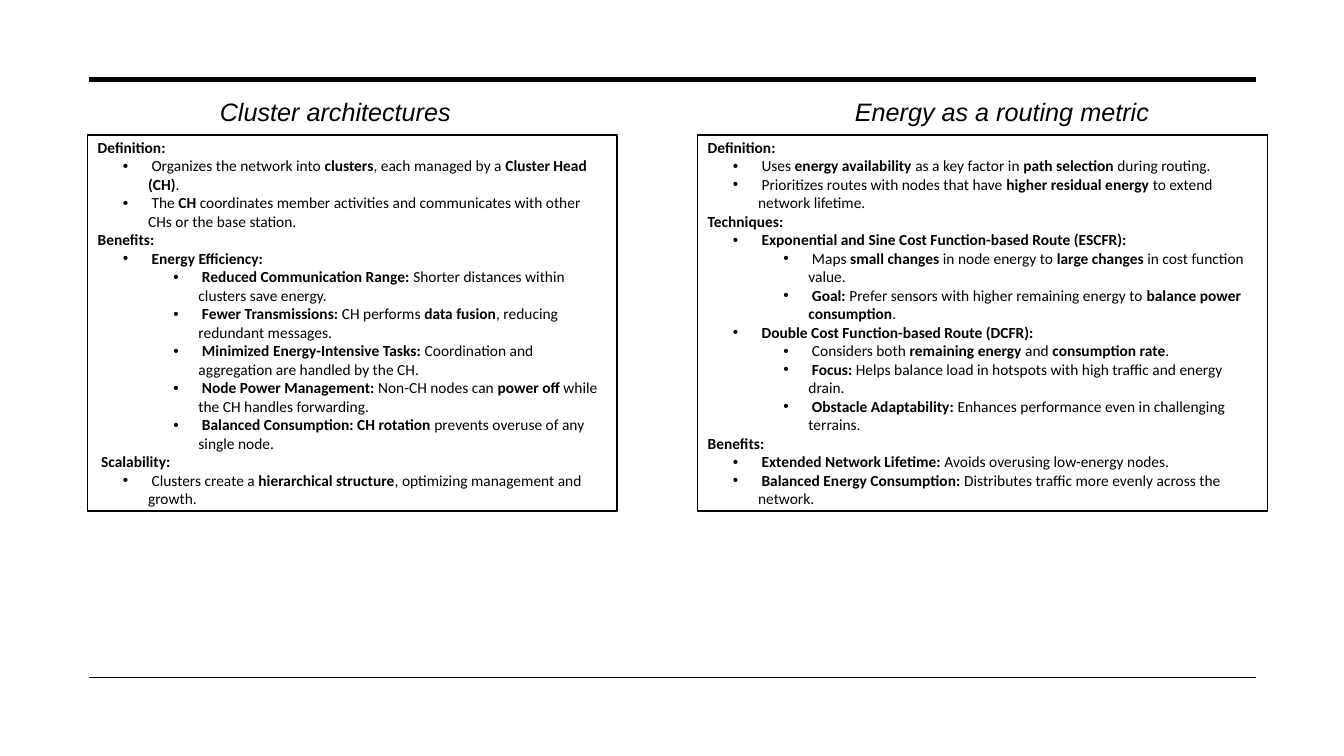
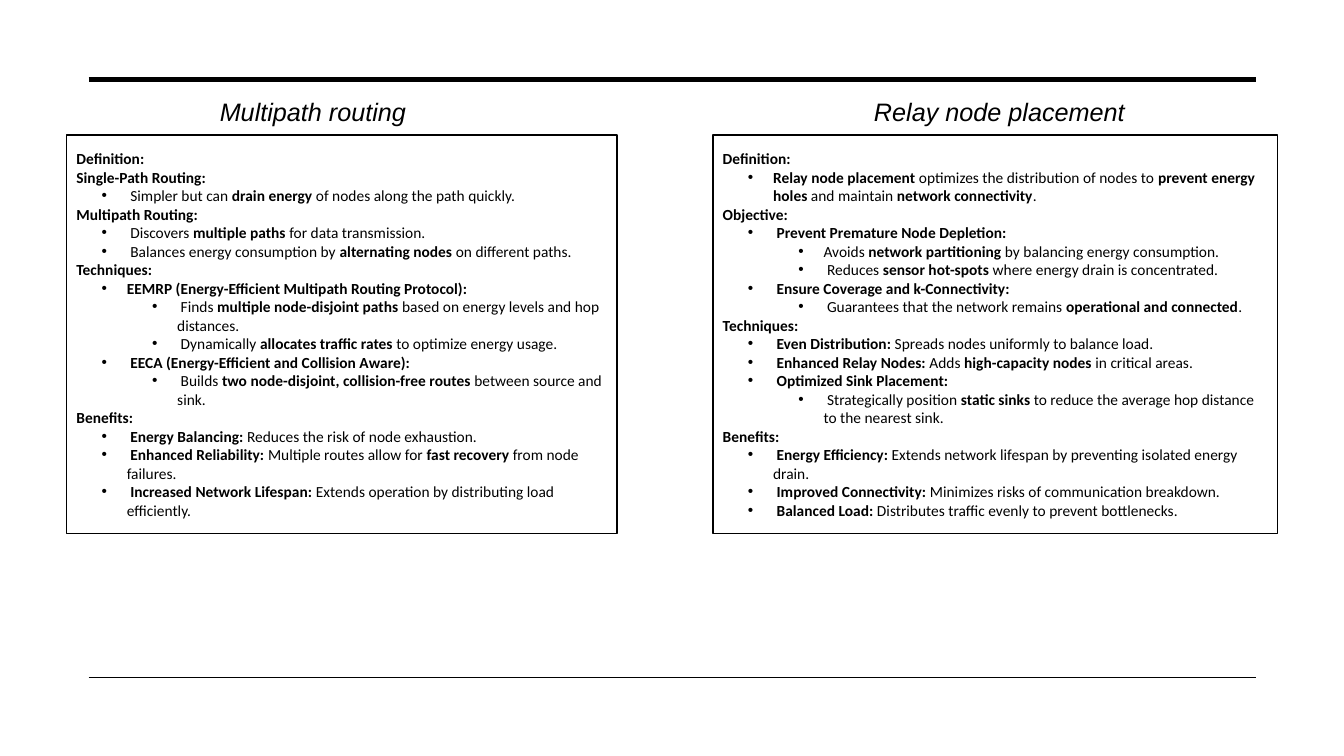
from lxml import etree
from pptx import Presentation
from pptx.dml.color import RGBColor
from pptx.enum import shapes, text
from pptx.oxml import ns
from pptx.util import Inches, Pt

BLACK = RGBColor(0x00, 0x00, 0x00)
WHITE = RGBColor(0xFF, 0xFF, 0xFF)
HEADING_FONT, BODY_FONT = "Arial", "Calibri"
HEADING_TOP, HEADING_H, PANEL_TOP = 0.91, 0.4, 1.34
RULE_LEFT, RULE_RIGHT = 0.88, 12.46
RULES = [(0.79, 3.5), (6.72, 1)]  # height on the slide, line width
INDENT, HANGING = 0.5, 0.25

# Each panel line is (outline level, text); ** switches bold on and off
CLUSTER = [
    (0, "Definition:"),
    (1, " Organizes the network into **clusters**, each managed by a **Cluster Head (CH)**."),
    (1, " The **CH** coordinates member activities and communicates with other CHs or the base station."),
    (0, "Benefits:"),
    (1, " **Energy Efficiency:**"),
    (2, " **Reduced Communication Range:** Shorter distances within clusters save energy."),
    (2, " **Fewer Transmissions:** CH performs **data fusion**, reducing redundant messages."),
    (2, " **Minimized Energy-Intensive Tasks:** Coordination and aggregation are handled by the CH."),
    (2, " **Node Power Management:** Non-CH nodes can **power off** while the CH handles forwarding."),
    (2, " **Balanced Consumption: CH rotation** prevents overuse of any single node."),
    (0, " Scalability:"),
    (1, " Clusters create a **hierarchical structure**, optimizing management and growth."),
]
ENERGY = [
    (0, "Definition:"),
    (1, " Uses **energy availability** as a key factor in **path selection** during routing."),
    (1, " Prioritizes routes with nodes that have **higher residual energy** to extend network lifetime."),
    (0, "Techniques:"),
    (1, " **Exponential and Sine Cost Function-based Route (ESCFR):**"),
    (2, " Maps **small changes** in node energy to **large changes** in cost function value."),
    (2, " **Goal:** Prefer sensors with higher remaining energy to **balance power consumption**."),
    (1, " **Double Cost Function-based Route (DCFR):**"),
    (2, " Considers both **remaining energy** and **consumption rate**."),
    (2, " **Focus:** Helps balance load in hotspots with high traffic and energy drain."),
    (2, " **Obstacle Adaptability:** Enhances performance even in challenging terrains."),
    (0, "Benefits:"),
    (1, " **Extended Network Lifetime:** Avoids overusing low-energy nodes."),
    (1, " **Balanced Energy Consumption:** Distributes traffic more evenly across the network."),
]
MULTIPATH = [
    (0, "Definition:"),
    (0, "Single-Path Routing:"),
    (1, " Simpler but can **drain energy** of nodes along the path quickly."),
    (0, "Multipath Routing:"),
    (1, " Discovers **multiple paths** for data transmission."),
    (1, " Balances energy consumption by **alternating nodes** on different paths."),
    (0, "Techniques:"),
    (1, "**EEMRP (Energy-Efficient Multipath Routing Protocol):**"),
    (2, " Finds **multiple node-disjoint paths** based on energy levels and hop distances."),
    (2, " Dynamically **allocates traffic rates** to optimize energy usage."),
    (1, " **EECA (Energy-Efficient and Collision Aware):**"),
    (2, " Builds **two node-disjoint, collision-free routes** between source and sink."),
    (0, "Benefits:"),
    (1, " **Energy Balancing:** Reduces the risk of node exhaustion."),
    (1, " **Enhanced Reliability:** Multiple routes allow for **fast recovery** from node failures."),
    (1, " **Increased Network Lifespan:** Extends operation by distributing load efficiently."),
]
RELAY = [
    (0, "Definition:"),
    (1, "**Relay node placement** optimizes the distribution of nodes to **prevent energy holes** "
        "and maintain **network connectivity**."),
    (0, "Objective:"),
    (1, " **Prevent Premature Node Depletion:**"),
    (2, "Avoids **network partitioning** by balancing energy consumption."),
    (2, " Reduces **sensor hot-spots** where energy drain is concentrated."),
    (1, " **Ensure Coverage and k-Connectivity:**"),
    (2, " Guarantees that the network remains **operational and connected**."),
    (0, "Techniques:"),
    (1, " **Even Distribution:** Spreads nodes uniformly to balance load."),
    (1, " **Enhanced Relay Nodes:** Adds **high-capacity nodes** in critical areas."),
    (1, " **Optimized Sink Placement:**"),
    (2, " Strategically position **static sinks** to reduce the average hop distance to the nearest sink."),
    (0, "Benefits:"),
    (1, " **Energy Efficiency:** Extends network lifespan by preventing isolated energy drain."),
    (1, " **Improved Connectivity:** Minimizes risks of communication breakdown."),
    (1, " **Balanced Load:** Distributes traffic evenly to prevent bottlenecks."),
]

# Per slide: panel height, then (heading, heading left, heading width, panel left, panel width, lines)
SLIDES = [
    (3.73, [("Cluster architectures", 2.08, 3, 0.87, 5.25, CLUSTER),
            ("Energy as a routing metric", 8.38, 3.34, 6.92, 5.65, ENERGY)]),
    (3.95, [("Multipath routing", 2.08, 3, 0.66, 5.46, MULTIPATH),
            ("Relay node placement", 8.57, 3, 7.07, 5.6, RELAY)]),
]


def add_text(p, content, font=BODY_FONT, size=11, bold=False, italic=False):
    r = p.add_run()
    r.text = content
    f = r.font
    f.name, f.size, f.bold, f.italic = font, Pt(size), bold, italic
    f.color.rgb = BLACK


def set_bullet(p, level):
    pPr = p._p.get_or_add_pPr()
    pPr.set("marL", str(Inches(INDENT * level)))
    pPr.set("indent", str(-Inches(HANGING)))
    etree.SubElement(pPr, ns.qn("a:buFont")).set("typeface", "Arial")
    etree.SubElement(pPr, ns.qn("a:buChar")).set("char", "•")


def add_rules(s):
    """Place the top and bottom rules on the layout that the slides share."""
    for number, (y, width) in enumerate(RULES):
        rule = s.shapes.add_connector(shapes.MSO_CONNECTOR.STRAIGHT, Inches(RULE_LEFT),
                                      Inches(y), Inches(RULE_RIGHT), Inches(y))
        rule.line.color.rgb = BLACK
        rule.line.width = Pt(width)
        etree.SubElement(rule.element.spPr, ns.qn("a:effectLst"))
        rule.element.nvCxnSpPr.cNvPr.id = 101 + number
        s.slide_layout.shapes.element.append(rule.element)


def format_heading(sp, heading, left, width):
    sp.left, sp.top = Inches(left), Inches(HEADING_TOP)
    sp.width, sp.height = Inches(width), Inches(HEADING_H)
    tf = sp.text_frame
    tf.word_wrap = True
    tf.auto_size = text.MSO_AUTO_SIZE.SHAPE_TO_FIT_TEXT
    tf.vertical_anchor = text.MSO_ANCHOR.TOP
    p = tf.paragraphs[0]
    p.alignment = text.PP_ALIGN.LEFT
    add_text(p, heading, font=HEADING_FONT, size=18, italic=True)


def add_panel(s, left, width, height, lines):
    sp = s.shapes.add_shape(shapes.MSO_SHAPE.RECTANGLE, Inches(left), Inches(PANEL_TOP),
                            Inches(width), Inches(height))
    sp.shadow.inherit = False
    sp.fill.solid()
    sp.fill.fore_color.rgb = WHITE
    sp.line.color.rgb = BLACK
    sp.line.width = Pt(1)
    tf = sp.text_frame
    tf.word_wrap = True
    tf.vertical_anchor = text.MSO_ANCHOR.MIDDLE
    for i, (level, line) in enumerate(lines):
        p = tf.add_paragraph() if i else tf.paragraphs[0]
        p.alignment = text.PP_ALIGN.LEFT
        p.level = level
        if level:
            set_bullet(p, level)
        for j, part in enumerate(line.split("**")):
            if part:
                add_text(p, part, bold=level == 0 or j % 2 == 1)


def add_comparison(s, height, columns):
    """Two headed panels; the first heading is the slide title."""
    for i, (heading, head_left, head_width, left, width, lines) in enumerate(columns):
        sp = s.shapes.add_textbox(0, 0, 0, 0) if i else s.shapes.title
        format_heading(sp, heading, head_left, head_width)
        add_panel(s, left, width, height, lines)


def main():
    prs = Presentation()
    prs.slide_width, prs.slide_height = Inches(13.33), Inches(7.5)
    title_only = prs.slide_layouts[5]
    for i, (height, columns) in enumerate(SLIDES):
        s = prs.slides.add_slide(title_only)
        if i == 0:
            add_rules(s)
        add_comparison(s, height, columns)
    prs.save("out.pptx")


if __name__ == "__main__":
    main()
